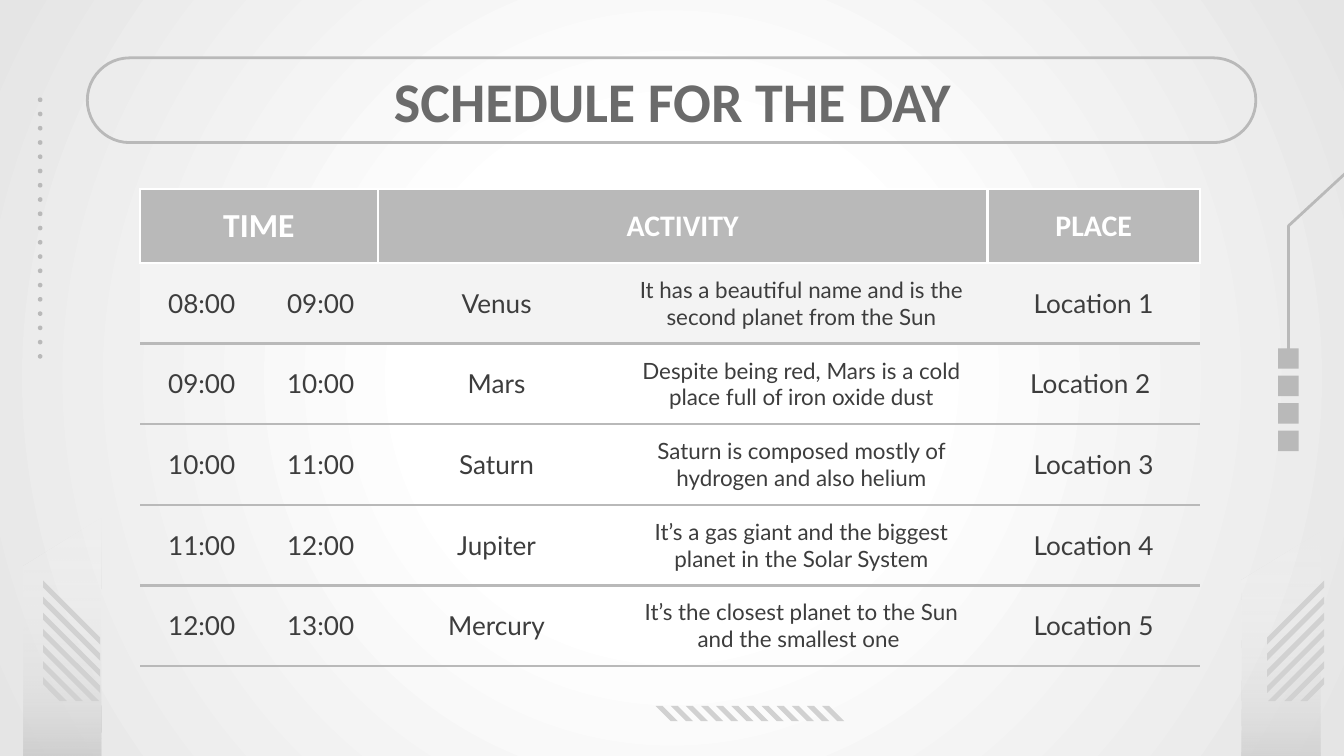
from dataclasses import dataclass
from typing import NamedTuple

from lxml.etree import SubElement
from pptx import Presentation
from pptx.dml.color import RGBColor
from pptx.enum.shapes import MSO_SHAPE
from pptx.enum.text import MSO_ANCHOR, MSO_AUTO_SIZE, PP_ALIGN
from pptx.oxml import parse_xml
from pptx.oxml.ns import nsdecls, qn
from pptx.util import Pt


class Box(NamedTuple):
    """A region of the slide, in points."""
    left: float
    top: float
    width: float
    height: float


@dataclass(frozen=True)
class Theme:
    """Colours, fonts and type sizes."""
    accent: str = "B9B9B9"
    stripe: str = "D1D1D1"
    mist: str = "DCDCDC"
    edge: str = "E5E5E5"
    band: str = "F3F3F3"
    white: str = "FFFFFF"
    title: str = "6B6B6B"
    text: str = "3D3D3D"
    heading_font: str = "Calibri"
    body_font: str = "Lato"
    title_size: float = 30
    first_heading_size: float = 18
    heading_size: float = 16
    body_size: float = 14
    detail_size: float = 12
    line: float = 1.5


THEME = Theme()
NO_GRID_STYLE = "{2D5ABB26-0587-4C30-8999-92F81FD0307C}"
HEADINGS = {0: "TIME", 2: "ACTIVITY", 4: "PLACE"}
SCHEDULE = [
    ("08:00", "09:00", "Venus", "It has a beautiful name and is the second planet from the Sun", "Location 1"),
    ("09:00", "10:00", "Mars", "Despite being red, Mars is a cold place full of iron oxide dust", "Location 2 "),
    ("10:00", "11:00", "Saturn", "Saturn is composed mostly of hydrogen and also helium", "Location 3"),
    ("11:00", "12:00", "Jupiter", "It’s a gas giant and the biggest planet in the Solar System", "Location 4"),
    ("12:00", "13:00", "Mercury", "It’s the closest planet to the Sun and the smallest one ", "Location 5"),
]


def set_gradient(fill, element, stops, direction):
    """Fill an element with (position, colour, opacity) stops in percent."""
    fill.gradient()
    stop_xml = "".join(
        f'<a:gs pos="{position * 1000}"><a:srgbClr val="{color}">'
        f'<a:alpha val="{opacity * 1000}"/></a:srgbClr></a:gs>'
        for position, color, opacity in stops)
    gradient = element.find(f".//{qn('a:gradFill')}")
    gradient.getparent().replace(gradient, parse_xml(
        f'<a:gradFill {nsdecls("a")} rotWithShape="1"><a:gsLst>{stop_xml}</a:gsLst>{direction}</a:gradFill>'))


def paint(shape, color):
    """Give a shape a plain fill without line or shadow."""
    shape.shadow.inherit = False
    shape.line.fill.background()
    shape.fill.solid()
    shape.fill.fore_color.rgb = RGBColor.from_string(color)


def outline(shape):
    """Give a shape an accent line without fill or shadow."""
    shape.shadow.inherit = False
    shape.fill.background()
    shape.line.color.rgb = RGBColor.from_string(THEME.accent)
    shape.line.width = Pt(THEME.line)


def add_path(slide, points, close=True):
    """Draw a freeform through points."""
    start, *others = [(Pt(x), Pt(y)) for x, y in points]
    builder = slide.shapes.build_freeform(*start, scale=1)
    builder.add_line_segments(others, close=close)
    return builder.convert_to_shape()


def add_text(paragraph, text, font_name, size, color, bold=False):
    """Add one centred run."""
    paragraph.alignment = PP_ALIGN.CENTER
    run = paragraph.add_run()
    run.text = text
    run.font.name = font_name
    run.font.size = Pt(size)
    run.font.bold = bold
    run.font.color.rgb = RGBColor.from_string(color)


def set_background(slide):
    """Lay a circular gradient behind the slide."""
    stops = [(0, THEME.white, 100), (32, THEME.white, 100), (100, THEME.edge, 100)]
    set_gradient(slide.background.fill, slide.element, stops,
                 '<a:path path="circle"><a:fillToRect l="50000" t="50000" r="50000" b="50000"/></a:path>')


def add_panel(slide, box):
    """Add a slanted panel that fades upwards."""
    right, bottom = box.left + box.width, box.top + box.height
    panel = add_path(slide, [(box.left, bottom), (box.left, box.top + 26), (right, box.top), (right, bottom)])
    paint(panel, THEME.accent)
    stops = [(0, THEME.accent, 100), (43, THEME.mist, 42), (100, THEME.white, 0)]
    set_gradient(panel.fill, panel._element, stops, '<a:lin ang="16200000" scaled="0"/>')


def add_title(slide, box):
    """Place the title inside its rounded frame."""
    frame = slide.shapes.add_shape(MSO_SHAPE.ROUNDED_RECTANGLE, *map(Pt, box))
    frame.adjustments[0] = 0.5
    outline(frame)
    title = slide.shapes.title
    title.left, title.top, title.width, title.height = map(Pt, (box.left + 10, box.top, box.width - 19, box.height))
    text_frame = title.text_frame
    text_frame.auto_size = MSO_AUTO_SIZE.NONE
    text_frame.vertical_anchor = MSO_ANCHOR.MIDDLE
    text_frame.margin_left = text_frame.margin_right = Pt(7.2)
    text_frame.margin_top = text_frame.margin_bottom = Pt(7.2)
    add_text(text_frame.paragraphs[0], "SCHEDULE FOR THE DAY", THEME.heading_font,
             THEME.title_size, THEME.title, bold=True)


def format_cell(cell, fill, borders):
    """Set a cell's margins, borders by side, and fill."""
    cell.vertical_anchor = MSO_ANCHOR.MIDDLE
    cell.margin_left = cell.margin_right = Pt(7.2)
    cell.margin_top = cell.margin_bottom = 0
    properties = cell._tc.get_or_add_tcPr()
    for side, color in borders.items():
        line = SubElement(properties, qn(f"a:ln{side}"), w=str(Pt(THEME.line)))
        SubElement(SubElement(line, qn("a:solidFill")), qn("a:srgbClr"), val=color)
    if fill:
        cell.fill.solid()
        cell.fill.fore_color.rgb = RGBColor.from_string(fill)
    else:
        cell.fill.background()


def add_schedule(slide, box):
    """Add the table of times, activities and places."""
    widths = [66.2, 61.2, 127.3, 199.4, 113.7]
    header_height = 39.6
    table = slide.shapes.add_table(len(SCHEDULE) + 1, len(widths), *map(Pt, box)).table
    table._tbl.tblPr.find(qn("a:tableStyleId")).text = NO_GRID_STYLE
    table.horz_banding = False
    for column, width in zip(table.columns, widths):
        column.width = Pt(width)
    for row in table.rows:
        row.height = Pt((box.height - header_height) / len(SCHEDULE))
    table.rows[0].height = Pt(header_height)
    for column in range(len(widths)):
        format_cell(table.cell(0, column), THEME.accent, dict.fromkeys("LRTB", THEME.white))
    for first in (0, 2):
        table.cell(0, first).merge(table.cell(0, first + 1))
    for column, heading in HEADINGS.items():
        size = THEME.heading_size if column else THEME.first_heading_size
        add_text(table.cell(0, column).text_frame.paragraphs[0], heading,
                 THEME.heading_font, size, THEME.white, bold=True)
    for row, entries in enumerate(SCHEDULE, 1):
        fill, top = (THEME.band, THEME.white) if row == 1 else (None, THEME.accent)
        for column, text in enumerate(entries):
            cell = table.cell(row, column)
            format_cell(cell, fill, {"T": top, "B": THEME.accent})
            size = THEME.detail_size if column == 3 else THEME.body_size
            add_text(cell.text_frame.paragraphs[0], text, THEME.body_font, size, THEME.text)


def add_hatching(slide, box, mirrored=False):
    """Add seven diagonal stripes, cut off at the bottom of the box."""
    thickness, pitch = 3.8, 8.64
    origin, direction = (box.left + box.width, -1) if mirrored else (box.left, 1)
    for index in range(7):
        offset = index * pitch
        upper = min(box.width, box.height - offset)
        lower = min(box.width, box.height - offset - thickness)
        corners = [(0, offset), (0, offset + thickness), (lower, offset + thickness + lower), (upper, offset + upper)]
        paint(add_path(slide, [(origin + direction * x, box.top + y) for x, y in corners]), THEME.stripe)


def add_dots(slide, box):
    """Add a column of nineteen dots."""
    count = 19
    pitch = (box.height - box.width) / (count - 1)
    for index in range(count):
        dot = slide.shapes.add_shape(MSO_SHAPE.OVAL, Pt(box.left), Pt(box.top + index * pitch),
                                     Pt(box.width), Pt(box.width))
        paint(dot, THEME.accent)


def add_dashes(slide, box):
    """Add a row of twelve slanted dashes."""
    count, thickness = 12, 3.8
    slant, bottom = box.height, box.top + box.height
    pitch = (box.width - slant - thickness) / (count - 1)
    for index in range(count):
        left = box.left + index * pitch
        paint(add_path(slide, [(left, box.top), (left + slant, bottom), (left + slant + thickness, bottom),
                               (left + thickness, box.top)]), THEME.stripe)


def add_circuit(slide, box):
    """Add four squares hanging from a bent line."""
    size, pitch = 11, 14.7
    first = box.top + box.height - 3 * pitch - size
    for index in range(4):
        square = slide.shapes.add_shape(MSO_SHAPE.RECTANGLE, Pt(box.left), Pt(first + index * pitch),
                                        Pt(size), Pt(size))
        paint(square, THEME.accent)
    center = box.left + size / 2
    outline(add_path(slide, [(center, first + 2), (center, box.top + 29.5), (box.left + box.width, box.top)],
                     close=False))


def main():
    """Build and save the slide."""
    presentation = Presentation()
    presentation.slide_width, presentation.slide_height = Pt(720), Pt(405)
    slide = presentation.slides.add_slide(presentation.slide_layouts[5])
    set_background(slide)
    add_panel(slide, Box(12.6, 277.6, 41.8, 155))
    add_panel(slide, Box(665.3, 285, 41.8, 155))
    add_title(slide, Box(46.8, 31, 626, 45.4))
    add_schedule(slide, Box(75, 101.2, 567.8, 255.6))
    add_hatching(slide, Box(23.1, 311, 30.6, 64.6))
    add_hatching(slide, Box(678.8, 311, 30.6, 64.6), mirrored=True)
    add_dots(slide, Box(20.3, 52.2, 2.5, 140))
    add_dashes(slide, Box(351.2, 378.2, 101.2, 8.2))
    add_circuit(slide, Box(684.8, 91.5, 37.4, 150.2))
    presentation.save("out.pptx")


if __name__ == "__main__":
    main()
